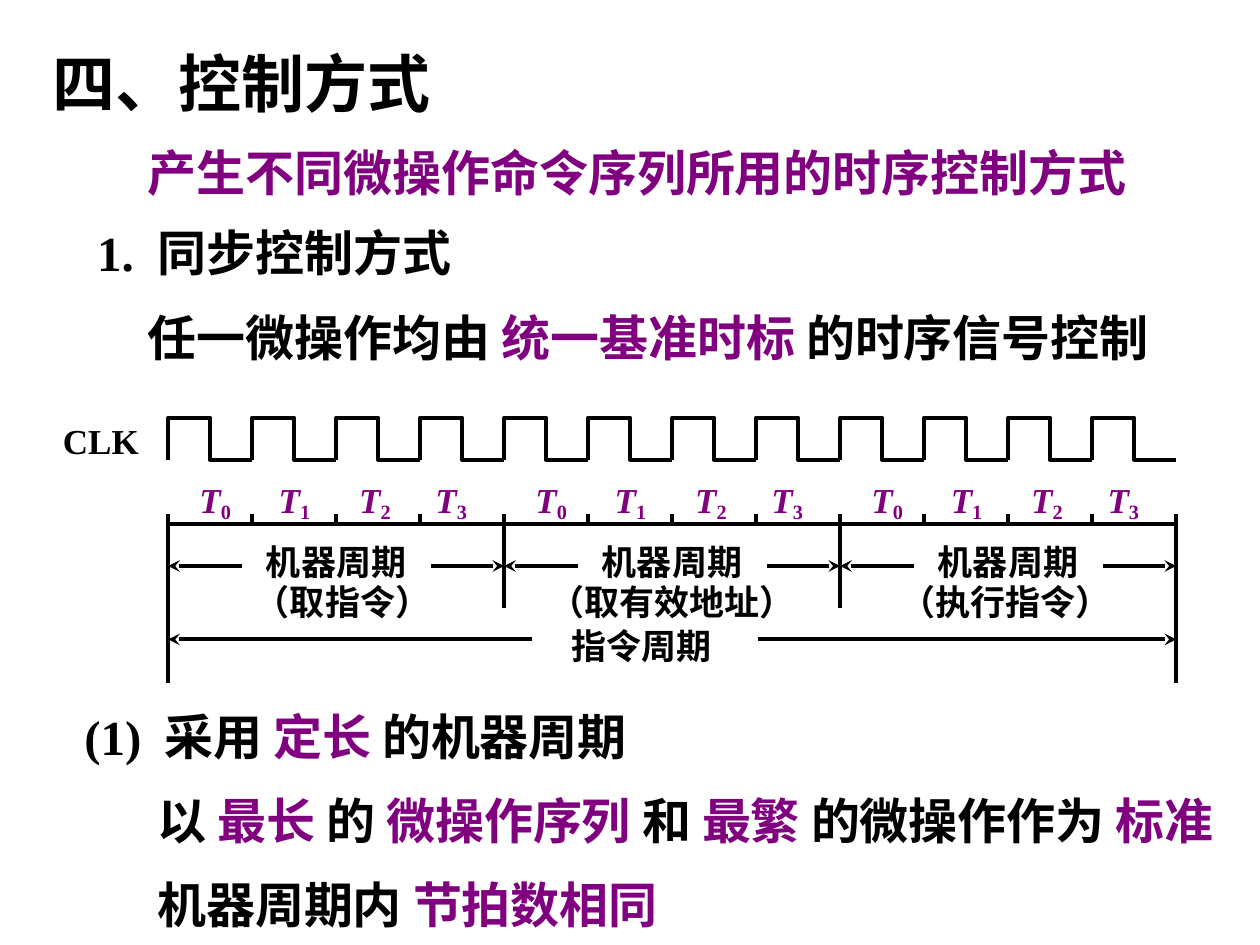
import pptx
import pptx.util
import pptx.dml.color
import pptx.enum.text
import pptx.enum.shapes
import pptx.oxml.ns
import lxml.etree

Cm, Pt = pptx.util.Cm, pptx.util.Pt
ALIGN = pptx.enum.text.PP_ALIGN
FONT = "Times New Roman"
INK, ACCENT = "000000", "800080"
CYCLES, BEATS = 3, 4


def colour(value):
    return pptx.dml.color.RGBColor.from_string(value)


def sub_element(parent, tag, **attributes):
    return lxml.etree.SubElement(parent, pptx.oxml.ns.qn(tag), attributes)


def add_run(paragraph, text, size, tint=INK, italic=False):
    run = paragraph.add_run()
    run.text = text
    run.font.name = FONT
    run.font.size = Pt(size)
    run.font.bold = True
    run.font.italic = italic
    run.font.color.rgb = colour(tint)
    return run


def add_label(shapes, left, top, width, text, align=ALIGN.CENTER):
    label = shapes.add_textbox(Cm(left), Cm(top), Cm(width), Cm(1.09))
    label.text_frame.word_wrap = True
    paragraph = label.text_frame.paragraphs[0]
    paragraph.alignment = align
    if text:
        add_run(paragraph, text, 20)
    return paragraph


def add_line(shapes, x1, y1, x2, y2, arrow=False):
    line = shapes.add_connector(
        pptx.enum.shapes.MSO_CONNECTOR.STRAIGHT, Cm(x1), Cm(y1), Cm(x2), Cm(y2))
    line.line.color.rgb = colour(INK)
    line.line.width = Pt(2.25)
    if arrow:
        sub_element(line.line._get_or_add_ln(), "a:tailEnd", type="stealth")
    sub_element(line._element.spPr, "a:effectLst")


def place(placeholder, left, top, width, height):
    placeholder.left, placeholder.top = Cm(left), Cm(top)
    placeholder.width, placeholder.height = Cm(width), Cm(height)
    frame = placeholder.text_frame
    frame.word_wrap = True
    frame.auto_size = pptx.enum.text.MSO_AUTO_SIZE.NONE
    frame.vertical_anchor = pptx.enum.text.MSO_ANCHOR.TOP
    return frame


def fill_title(placeholder, left, top, width, height):
    paragraph = place(placeholder, left, top, width, height).paragraphs[0]
    paragraph.alignment = ALIGN.LEFT
    add_run(paragraph, "四、控制方式", 36)


def fill_body(placeholder, left, top, width, height, leading, lines):
    frame = place(placeholder, left, top, width, height)
    frame.margin_left = frame.margin_right = 0
    frame.margin_top = frame.margin_bottom = 0
    for index, (margin, hanging, before, runs) in enumerate(lines):
        paragraph = frame.add_paragraph() if index else frame.paragraphs[0]
        paragraph.alignment = ALIGN.LEFT
        paragraph.line_spacing = Pt(leading)
        paragraph.space_before = Pt(before)
        properties = paragraph._p.get_or_add_pPr()
        properties.set("marL", str(Cm(margin)))
        properties.set("indent", str(Cm(-hanging)))
        sub_element(properties, "a:buNone")
        for text, tint in runs:
            add_run(paragraph, text, 28, tint)


def draw_clock(slide, left, top, width, height):
    add_label(slide.shapes, left - 2.37, top - 0.09, 2.2, "CLK", ALIGN.LEFT)
    wave = slide.shapes.add_group_shape().shapes
    period = width / (CYCLES * BEATS)
    low = Cm(top + height)
    for beat in range(CYCLES * BEATS):
        start = left + beat * period
        middle, end = Cm(start + period / 2), Cm(start + period)
        builder = wave.build_freeform(Cm(start), low)
        builder.add_line_segments(
            [(Cm(start), Cm(top)), (middle, Cm(top)), (middle, low), (end, low)],
            close=False)
        pulse = builder.convert_to_shape()
        pulse.shadow.inherit = False
        pulse.fill.background()
        pulse.line.color.rgb = colour(INK)
        pulse.line.width = Pt(2.25)


def draw_machine_cycle(shapes, left, top, width, phase, shift):
    right, middle = left + width, left + width / 2
    for beat, offset in enumerate((0.38, 1.98, 3.6, 5.14)):
        paragraph = add_label(shapes, left + offset, top, 1.4, "", ALIGN.LEFT)
        add_run(paragraph, "T", 20, ACCENT, italic=True)
        subscript = add_run(paragraph, str(beat), 20, ACCENT)
        subscript.font._element.set("baseline", "-15000")
    for beat in range(1, BEATS):
        tick = left + beat * width / BEATS
        add_line(shapes, tick, top + 0.83, tick, top + 1.04)
    arrow_y = top + 1.88
    add_line(shapes, left + 1.48, arrow_y, left, arrow_y, arrow=True)
    add_line(shapes, right - 1.48, arrow_y, right, arrow_y, arrow=True)
    add_label(shapes, middle - 2, top + 1.24, 4, "机器周期")
    add_label(shapes, middle - 3 + shift, top + 2.05, 6, phase)


def draw_timing(slide, left, top, width, height):
    shapes = slide.shapes.add_group_shape().shapes
    right, cycle = left + width, width / CYCLES
    add_line(shapes, left, top + 1.04, right, top + 1.04)
    phases = (("（取指令）", 0.13), ("（取有效地址）", 0), ("（执行指令）", -0.05))
    for index, (phase, shift) in enumerate(phases):
        draw_machine_cycle(shapes, left + index * cycle, top, cycle, phase, shift)
    for index in range(CYCLES + 1):
        edge = left + index * cycle
        depth = height if index in (0, CYCLES) else 2.73
        add_line(shapes, edge, top + 0.83, edge, top + depth)
    arrow_y = top + 3.36
    add_line(shapes, left + 7.34, arrow_y, left, arrow_y, arrow=True)
    add_line(shapes, left + 11.89, arrow_y, right, arrow_y, arrow=True)
    add_label(shapes, left + 7.54, top + 2.94, 4, "指令周期")


def build_slide(deck):
    slide = deck.slides.add_slide(deck.slide_layouts[3])
    title, intro, rules = slide.placeholders
    fill_title(title, 0.81, 0.76, 9, 1.8)
    fill_body(intro, 1.96, 2.46, 23, 5, 45.4, [
        (1.02, 0, 0, [("产生不同微操作命令序列所用的时序控制方式", ACCENT)]),
        (1.22, 1.22, 0, [("1.\t同步控制方式", INK)]),
        (1.02, 0, 3.4, [("任一微操作均由 ", INK), ("统一基准时标 ", ACCENT),
                        ("的时序信号控制", INK)]),
    ])
    draw_clock(slide, 3.39, 8.42, 20.32, 0.85)
    draw_timing(slide, 3.39, 9.53, 20.32, 4.23)
    fill_body(rules, 1.7, 13.72, 23.5, 5.2, 48.2, [
        (1.61, 1.61, 0, [("(1)\t采用 ", INK), ("定长 ", ACCENT),
                         ("的机器周期", INK)]),
        (1.47, 0, 0, [("以 ", INK), ("最长 ", ACCENT), ("的 ", INK),
                      ("微操作序列 ", ACCENT), ("和 ", INK), ("最繁 ", ACCENT),
                      ("的微操作作为 ", INK), ("标准", ACCENT)]),
        (1.47, 0, 0, [("机器周期内 ", INK), ("节拍数相同", ACCENT)]),
    ])


def main():
    deck = pptx.Presentation()
    deck.slide_width, deck.slide_height = Cm(25.4), Cm(19.05)
    build_slide(deck)
    deck.save("out.pptx")


if __name__ == "__main__":
    main()
